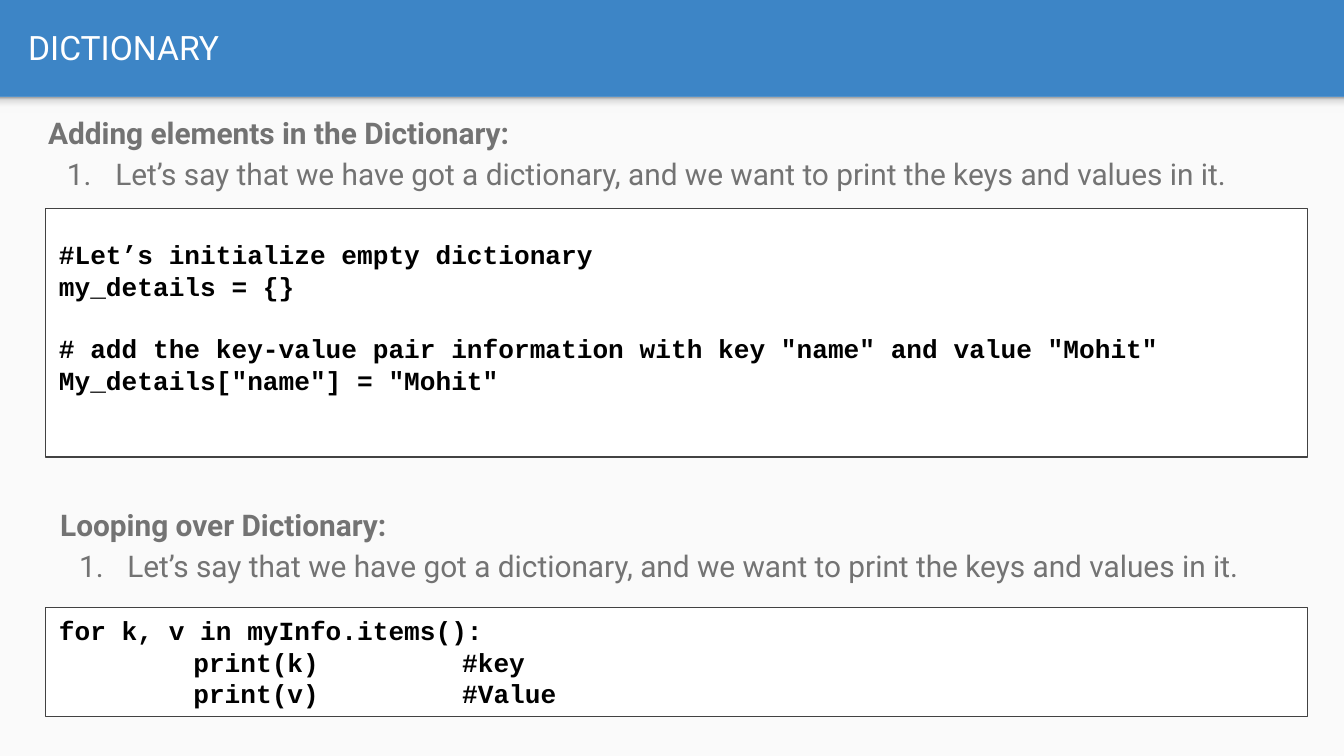
from lxml import etree
from pptx import Presentation
from pptx.dml.color import RGBColor
from pptx.enum import shapes, text
from pptx.oxml import ns
from pptx.util import Inches, Pt

BLUE = RGBColor(0x3D, 0x85, 0xC6)
PAPER = RGBColor(0xFA, 0xFA, 0xFA)
WHITE = RGBColor(0xFF, 0xFF, 0xFF)
BLACK = RGBColor(0, 0, 0)
GREY = RGBColor(0x73, 0x73, 0x73)
BORDER = RGBColor(0x42, 0x42, 0x42)
SHADOW_STOPS = [(0, "999999"), (20, "DEDEDE"), (64, "F9F9F9"), (100, "F9F9F9")]

CODE_LINE = Pt(16.7)  # height of one line of code
INTRO = "Let’s say that we have got a dictionary, and we want to print the keys and values in it."


def add_element(parent, tag, **attributes):
    element = etree.SubElement(parent, ns.qn(tag))
    for name, value in attributes.items():
        element.set(name, str(value))
    return element


def add_run(paragraph, words, font, size, color, bold=False):
    run = paragraph.add_run()
    run.text = words
    run.font.name, run.font.size, run.font.bold = font, Pt(size), bold
    run.font.color.rgb = color


def set_frame(frame, anchor):
    frame.word_wrap = True
    frame.auto_size = text.MSO_AUTO_SIZE.NONE
    frame.vertical_anchor = anchor
    frame.margin_left = frame.margin_right = Inches(0.1)
    frame.margin_top = frame.margin_bottom = Inches(0.1)


def next_paragraph(frame, index):
    paragraph = frame.add_paragraph() if index else frame.paragraphs[0]
    paragraph.alignment = text.PP_ALIGN.LEFT
    return paragraph


def add_rectangle(slide, left, top, width, height, fill):
    shape = slide.shapes.add_shape(
        shapes.MSO_SHAPE.RECTANGLE,
        Inches(left), Inches(top), Inches(width), Inches(height))
    shape.shadow.inherit = False
    shape.fill.solid()
    shape.fill.fore_color.rgb = fill
    shape.line.fill.background()
    return shape


def add_header_shadow(slide):
    shape = add_rectangle(slide, 0, 0.72, 10, 0.12, PAPER)
    shape.fill.gradient()
    shape.fill.gradient_angle = 270  # counter-clockwise: dark edge on top
    stops = shape.element.spPr.find(".//" + ns.qn("a:gsLst"))
    for stop in list(stops):
        stops.remove(stop)
    for position, color in SHADOW_STOPS:
        stop = add_element(stops, "a:gs", pos=position * 1000)
        add_element(stop, "a:srgbClr", val=color)


def add_title(slide, words):
    title = slide.shapes.title
    title.left, title.top = Inches(0.11), Inches(0.02)
    title.width, title.height = Inches(9.65), Inches(0.66)
    set_frame(title.text_frame, text.MSO_ANCHOR.MIDDLE)
    add_run(next_paragraph(title.text_frame, 0), words, "Roboto", 18, WHITE)


def number_paragraph(paragraph):
    properties = paragraph._p.get_or_add_pPr()
    properties.set("marL", str(Inches(0.5)))
    properties.set("indent", str(Inches(-0.36)))
    color = add_element(properties, "a:buClr")
    add_element(color, "a:srgbClr", val=GREY)
    add_element(properties, "a:buAutoNum", type="arabicPeriod")


def add_topic(slide, left, top, heading, point):
    box = slide.shapes.add_textbox(
        Inches(left), Inches(top), Inches(9.47), Inches(0.81))
    frame = box.text_frame
    set_frame(frame, text.MSO_ANCHOR.TOP)
    for index, words in enumerate((heading, point)):
        paragraph = next_paragraph(frame, index)
        if index:
            number_paragraph(paragraph)
        paragraph.line_spacing = 1.15
        add_run(paragraph, words, "Roboto", 16, GREY, bold=index == 0)


def add_code(slide, top, height, blocks, lines_below=0):
    """Draw a code box; blocks of lines are one line height apart."""
    shape = add_rectangle(slide, 0.34, top, 9.39, height, WHITE)
    shape.line.color.rgb = BORDER
    shape.line.width = Pt(0.75)
    frame = shape.text_frame
    set_frame(frame, text.MSO_ANCHOR.MIDDLE)
    frame.margin_bottom = Inches(0.1) + lines_below * CODE_LINE
    index = 0
    for block in blocks:
        for position, line in enumerate(block):
            paragraph = next_paragraph(frame, index)
            if index and position == 0:
                paragraph.space_before = CODE_LINE
            tabs = add_element(paragraph._p.get_or_add_pPr(), "a:tabLst")
            for stop in (1, 2, 3):
                add_element(tabs, "a:tab", pos=Inches(stop), algn="l")
            add_run(paragraph, line, "Courier New", 14, BLACK, bold=True)
            index += 1


def main():
    presentation = Presentation()
    presentation.slide_width = Inches(10)
    presentation.slide_height = Inches(10 * 9 / 16)  # widescreen
    slide = presentation.slides.add_slide(presentation.slide_layouts[5])

    # Header and page
    slide.background.fill.solid()
    slide.background.fill.fore_color.rgb = BLUE
    add_rectangle(slide, 0, 0.72, 10, 4.91, PAPER)
    add_header_shadow(slide)
    add_title(slide, "DICTIONARY")

    # Adding elements
    add_topic(slide, 0.26, 0.71, "Adding elements in the Dictionary:", INTRO)
    add_code(slide, 1.55, 1.85, [
        ["#Let’s initialize empty dictionary", "my_details = {}"],
        ['# add the key-value pair information with key "name" and value "Mohit"',
         'My_details["name"] = "Mohit"'],
    ], lines_below=1)

    # Looping
    add_topic(slide, 0.35, 3.63, "Looping over Dictionary:", INTRO)
    add_code(slide, 4.52, 0.81, [
        ["for k, v in myInfo.items():", "\tprint(k)\t\t#key", "\tprint(v)\t\t#Value"],
    ])

    presentation.save("out.pptx")


if __name__ == "__main__":
    main()
